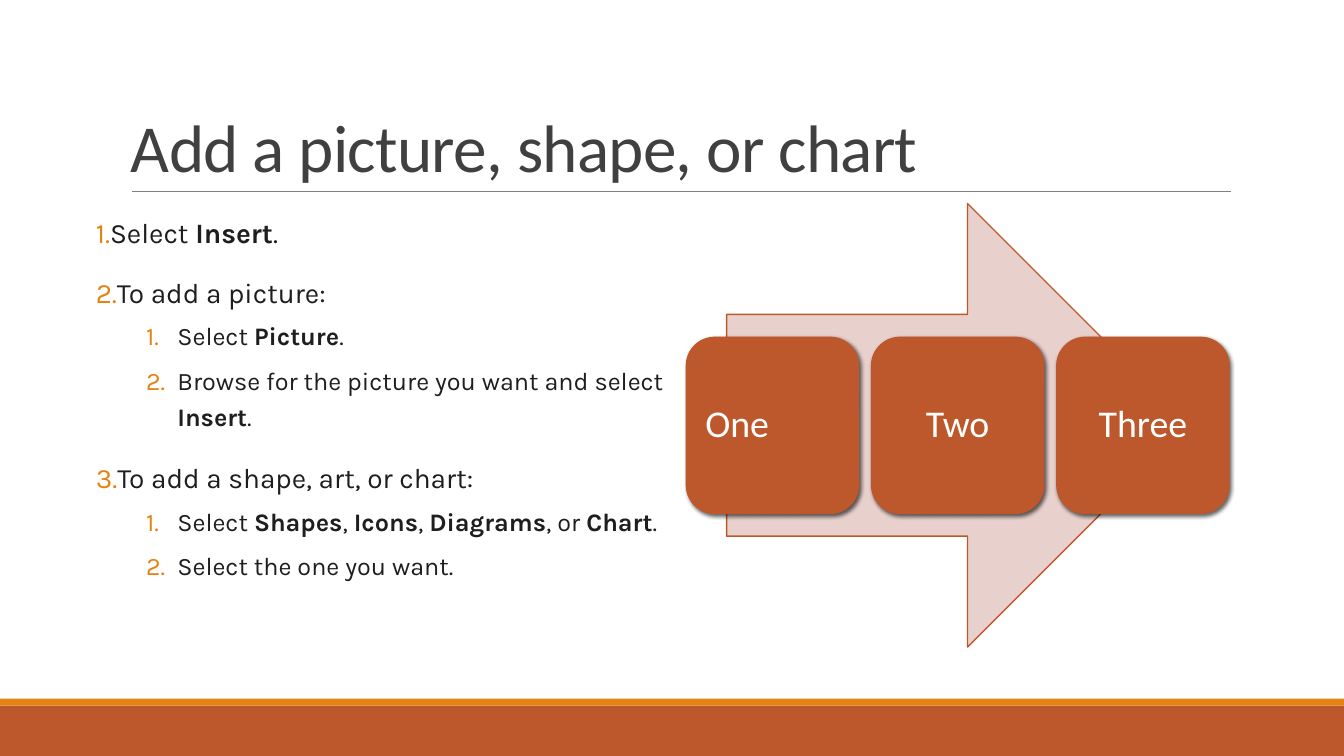
"""Build a slide with numbered steps beside a three-stage arrow."""
from dataclasses import dataclass

from lxml.etree import SubElement
from pptx import Presentation
from pptx.dml.color import RGBColor
from pptx.enum.shapes import MSO_CONNECTOR, MSO_SHAPE
from pptx.enum.text import MSO_ANCHOR, PP_ALIGN
from pptx.oxml.ns import qn
from pptx.util import Pt

RUST, ORANGE, PINK = "BD582C", "E48312", "E8D1CD"
WHITE, GRAY, TITLE, INK = "FFFFFF", "808080", "404040", "1E1E1E"


@dataclass
class Step:
    text: str
    level: int = 0


@dataclass
class Level:
    size: float
    margin: float
    hang: float
    before: float
    after: float


@dataclass
class Stage:
    text: str
    align: PP_ALIGN = PP_ALIGN.CENTER


LEVELS = [Level(20, 7.2, 7.2, 12, 2), Level(18, 58.3, 22.3, 2, 4)]
STEPS = [
    Step("Select *Insert*."),
    Step("To add a picture:"),
    Step("Select *Picture*.", 1),
    Step("Browse for the picture you want and select *Insert*.", 1),
    Step("To add a shape, art, or chart:"),
    Step("Select *Shapes*, *Icons*, *Diagrams*, or *Chart*.", 1),
    Step("Select the one you want.", 1),
]
STAGES = [Stage("One", PP_ALIGN.LEFT), Stage("Two"), Stage("Three")]


def rgb(value: str) -> RGBColor:
    return RGBColor.from_string(value)


def add_text(p, text: str, *, size: float, color: str, font: str = "Calibri",
             bold: bool = False, spacing: int = 0) -> None:
    r = p.add_run()
    r.text = text
    r.font.size, r.font.name, r.font.bold = Pt(size), font, bold
    r.font.color.rgb = rgb(color)
    if spacing:
        r.font._element.set("spc", str(spacing))


def add_box(s, kind, left: float, top: float, width: float, height: float,
            fill: str, line: str = ""):
    sp = s.shapes.add_shape(kind, Pt(left), Pt(top), Pt(width), Pt(height))
    sp.fill.solid()
    sp.fill.fore_color.rgb = rgb(fill)
    if line:
        sp.line.color.rgb = rgb(line)
        sp.line.width = Pt(1)
    else:
        sp.line.fill.background()
    sp.shadow.inherit = False
    return sp


def add_frame(s, left: float, top: float, width: float, height: float):
    tf = s.shapes.add_textbox(Pt(left), Pt(top), Pt(width), Pt(height)).text_frame
    tf.word_wrap = True
    return tf


def add_shadow(sp) -> None:
    effects = sp._element.spPr.find(qn("a:effectLst"))
    shadow = SubElement(effects, qn("a:outerShdw"), blurRad=str(Pt(3)), dist=str(Pt(2)),
                        dir=str(45 * 60000), algn="ctr", rotWithShape="0")
    color = SubElement(shadow, qn("a:srgbClr"), val="000000")
    SubElement(color, qn("a:alpha"), val="60000")


def add_number(p, level: Level) -> None:
    pPr = p._p.get_or_add_pPr()
    pPr.set("marL", str(Pt(level.margin)))
    pPr.set("indent", str(-Pt(level.hang)))
    color = SubElement(pPr, qn("a:buClr"))
    SubElement(color, qn("a:srgbClr"), val=ORANGE)
    SubElement(pPr, qn("a:buAutoNum"), type="arabicPeriod")


def add_title(s, text: str) -> None:
    tf = add_frame(s, 86.4, 22.3, 792, 114.5)
    tf.vertical_anchor = MSO_ANCHOR.BOTTOM
    p = tf.paragraphs[0]
    p.line_spacing = 0.85
    add_text(p, text, size=48, color=TITLE, spacing=-50)


def add_rule(s) -> None:
    line = s.shapes.add_connector(MSO_CONNECTOR.STRAIGHT, Pt(94.3), Pt(136.6),
                                  Pt(879), Pt(136.6))
    line.line.color.rgb = rgb(GRAY)
    line.line.width = Pt(0.5)
    SubElement(line._element.spPr, qn("a:effectLst"))


def add_steps(s, steps: list[Step]) -> None:
    tf = add_frame(s, 68.4, 145.4, 432.7, 316.8)
    tf.margin_left = tf.margin_right = 0
    for i, step in enumerate(steps):
        level = LEVELS[step.level]
        p = tf.add_paragraph() if i else tf.paragraphs[0]
        p.level = step.level
        add_number(p, level)
        p.line_spacing = 1.2
        p.space_before = Pt(level.before if i else 0)
        p.space_after = Pt(level.after)
        for j, part in enumerate(step.text.split("*")):
            add_text(p, part, size=level.size, color=INK, font="Karla", bold=j % 2 == 1)


def add_stages(s, stages: list[Stage]) -> None:
    add_box(s, MSO_SHAPE.RIGHT_ARROW, 519, 145.4, 330.5, 316.8, PINK, RUST)
    for i, stage in enumerate(stages):
        sp = add_box(s, MSO_SHAPE.ROUNDED_RECTANGLE, 489.8 + 132.3 * i, 240.5,
                     124, 126.7, RUST)
        add_shadow(sp)
        tf = sp.text_frame
        tf.word_wrap = True
        tf.vertical_anchor = MSO_ANCHOR.MIDDLE
        tf.margin_left = tf.margin_right = Pt(8)
        p = tf.paragraphs[0]
        p.alignment = stage.align
        p.line_spacing = 0.9
        add_text(p, stage.text, size=27, color=WHITE)


def main() -> None:
    prs = Presentation()
    prs.slide_width, prs.slide_height = Pt(960), Pt(540)
    s = prs.slides.add_slide(prs.slide_layouts[6])
    add_box(s, MSO_SHAPE.RECTANGLE, 0, 504, 960, 36, RUST)
    add_box(s, MSO_SHAPE.RECTANGLE, 0, 499, 960, 5, ORANGE)
    add_rule(s)
    add_title(s, "Add a picture, shape, or chart")
    add_steps(s, STEPS)
    add_stages(s, STAGES)
    prs.save("out.pptx")


if __name__ == "__main__":
    main()
